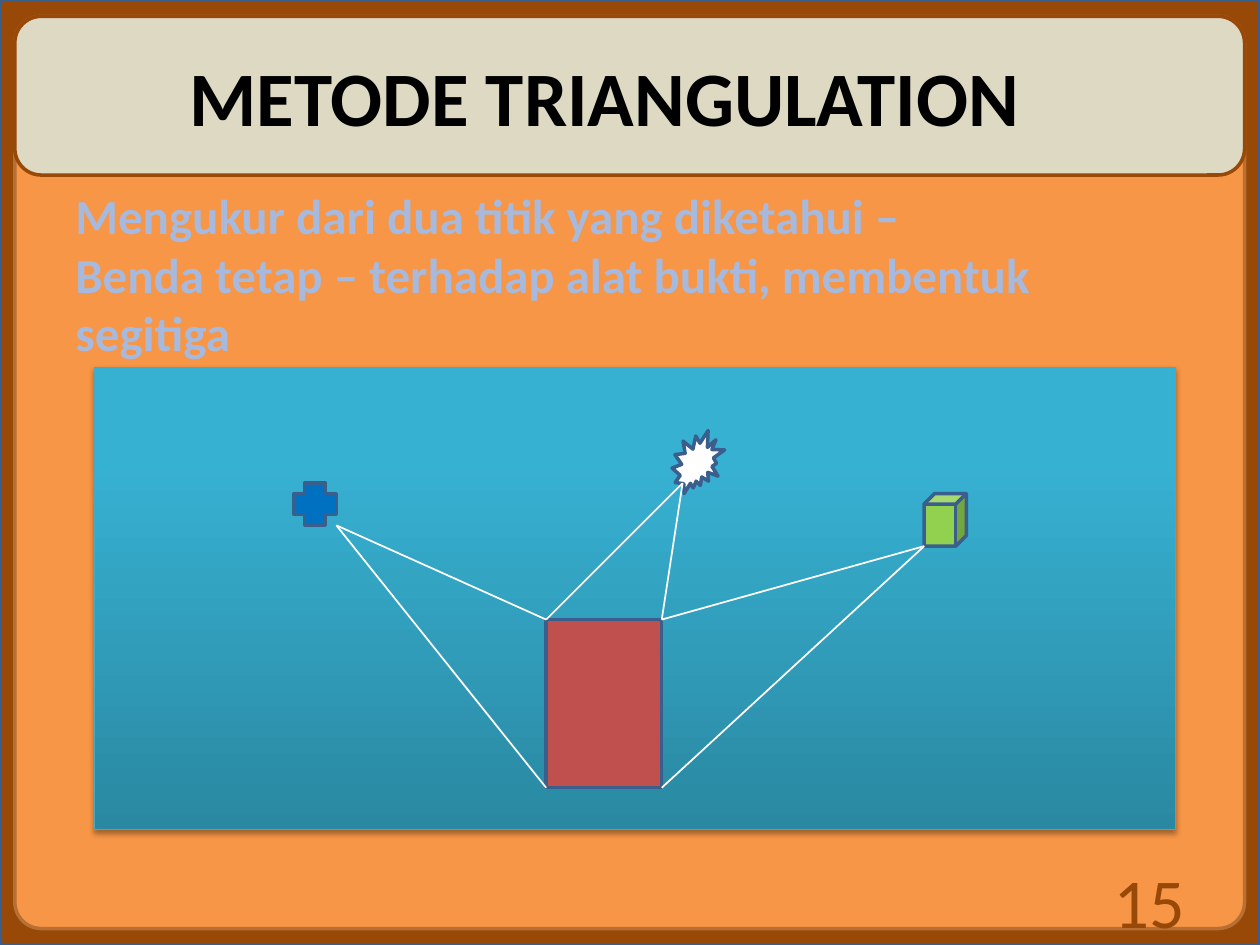
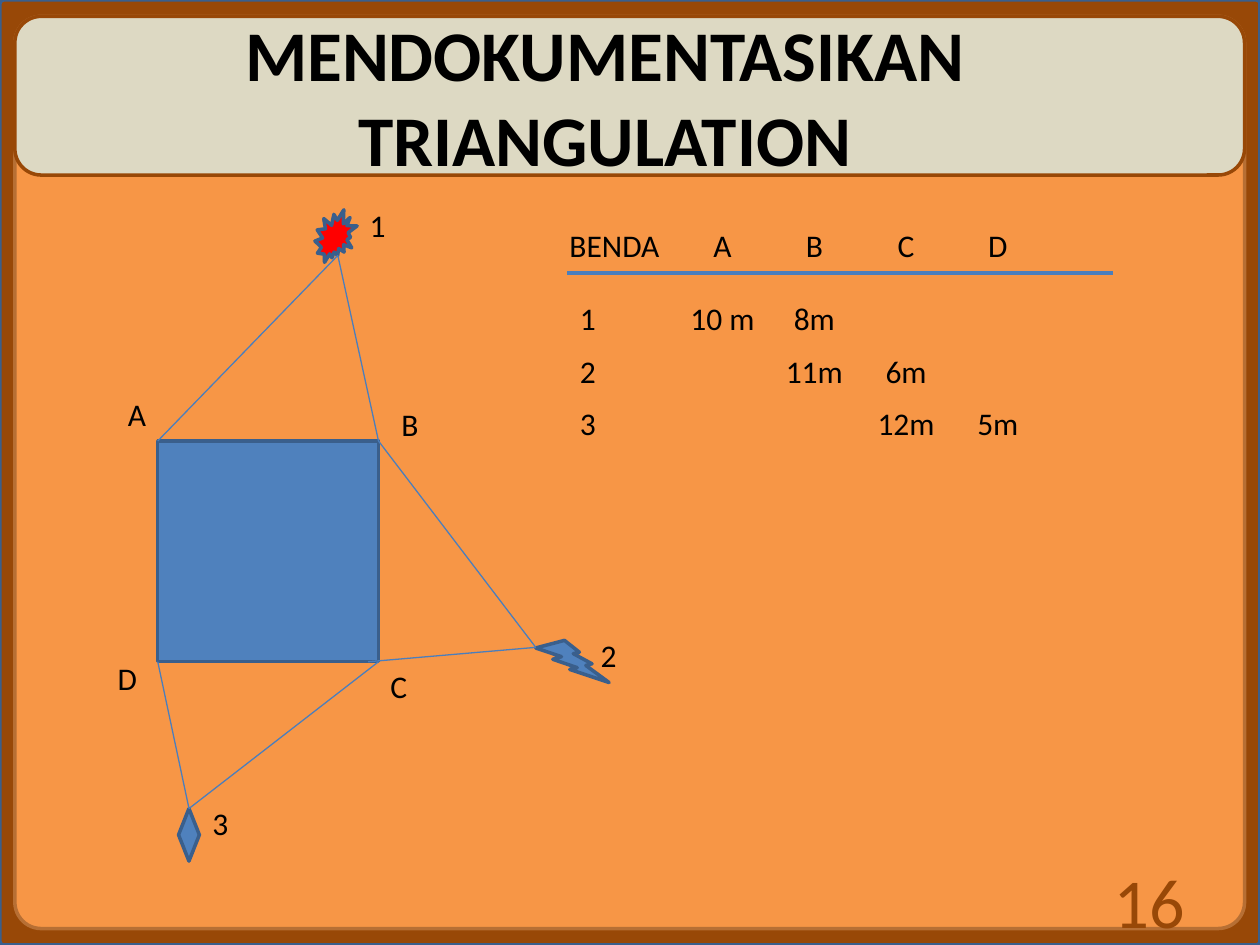
from lxml.etree import SubElement
from pptx import Presentation
from pptx.dml.color import RGBColor
from pptx.enum.shapes import MSO_CONNECTOR, MSO_SHAPE as SHAPE
from pptx.enum.text import MSO_ANCHOR as ANCHOR, PP_ALIGN as ALIGN
from pptx.oxml.ns import qn
from pptx.util import Cm, Pt

FONT = "Calibri"
NO_GRID_STYLE = "{2D5ABB26-0587-4C30-8999-92F81FD0307C}"
COLORS = {
    "brown": "984807",
    "orange": "F79646",
    "panel_edge": "B76F34",
    "cream": "DDD9C3",
    "navy": "3A5F8C",
    "blue": "4F81BD",
    "line_blue": "4B7EBC",
    "pale_blue": "A7B9DC",
    "board_low": "2A88A2",
    "board_high": "37B1D2",
    "board_edge": "46AAC5",
    "brick": "C0504D",
    "lime": "92D050",
    "plus_blue": "0070C0",
    "red": "FF0000",
    "white": "FFFFFF",
    "black": "000000",
}


def rgb(name):
    return RGBColor.from_string(COLORS[name])


def add_shape(slide, kind, box, fill, line="navy", width=2, adj=None):
    sp = slide.shapes.add_shape(kind, *map(Cm, box))
    sp.shadow.inherit = False
    sp.fill.solid()
    sp.fill.fore_color.rgb = rgb(fill)
    sp.line.color.rgb = rgb(line)
    sp.line.width = Pt(width)
    if adj is not None:
        sp.adjustments[0] = adj
    return sp


def add_line(slide, start, end, color, width):
    line = slide.shapes.add_connector(MSO_CONNECTOR.STRAIGHT, *map(Cm, start + end))
    line.line.color.rgb = rgb(color)
    line.line.width = Pt(width)
    SubElement(line._element.spPr, qn("a:effectLst"))


def style(p, size, color="black", bold=False, align=ALIGN.LEFT):
    p.alignment = align
    p.font.name = FONT
    p.font.size = Pt(size)
    p.font.bold = bold
    p.font.color.rgb = rgb(color)


def add_text(slide, box, lines, size, anchor=ANCHOR.TOP, **look):
    tf = slide.shapes.add_textbox(*map(Cm, box)).text_frame
    tf.word_wrap = True
    tf.vertical_anchor = anchor
    tf.text = "\n".join(lines)
    for p in tf.paragraphs:
        style(p, size, **look)


def add_frame(prs, title, title_size, number):
    slide = prs.slides.add_slide(prs.slide_layouts[6])
    rounded = SHAPE.ROUNDED_RECTANGLE
    add_shape(slide, rounded, (0, 0, 25.4, 19.05), "brown", adj=0.004)
    add_shape(slide, rounded, (0.3, 0.33, 24.79, 18.39), "orange", "panel_edge", adj=0.029)
    add_shape(slide, rounded, (0.3, 0.33, 24.79, 3.2), "cream", "brown")
    add_text(slide, (2.49, 0.33, 19.41, 3.2), [title], title_size,
             ANCHOR.MIDDLE, bold=True, align=ALIGN.CENTER)
    add_text(slide, (18.21, 17.65, 5.92, 1.02), [str(number)], 40,
             ANCHOR.MIDDLE, color="brown", align=ALIGN.RIGHT)
    return slide


def add_board(slide, box):
    sp = add_shape(slide, SHAPE.RECTANGLE, box, "board_high", "board_edge", 0.75)
    sp.fill.gradient()
    sp.fill.gradient_angle = 90
    stops = ((0, "board_low"), (0.8, "board_high"))
    for stop, (position, color) in zip(sp.fill.gradient_stops, stops):
        stop.position = position
        stop.color.rgb = rgb(color)
    effects = sp._element.spPr.find(qn("a:effectLst"))
    shadow = SubElement(effects, qn("a:outerShdw"), blurRad=str(Pt(3.1)),
                        dist=str(Pt(1.8)), dir="5400000", rotWithShape="0")
    black = SubElement(shadow, qn("a:srgbClr"), val=COLORS["black"])
    SubElement(black, qn("a:alpha"), val="35000")


def add_sketch(slide, origin, objects, sights, line_color, line_width):
    x0, y0 = origin
    for kind, (x, y, w, h), fill in objects:
        add_shape(slide, kind, (x0 + x, y0 + y, w, h), fill)
    for (x, y), corners in sights:
        for cx, cy in corners:
            add_line(slide, (x0 + cx, y0 + cy), (x0 + x, y0 + y), line_color, line_width)


def add_method_sketch(slide, box):
    add_board(slide, box)
    left, top, w, h = 9.1, 5.08, 2.33, 3.39
    top_left, top_right = (left, top), (left + w, top)
    low_left, low_right = (left, top + h), (left + w, top + h)
    objects = [
        (SHAPE.RECTANGLE, (left, top, w, h), "brick"),
        (SHAPE.EXPLOSION2, (11.64, 1.27, 1.06, 1.27), "white"),
        (SHAPE.CUBE, (16.72, 2.54, 0.85, 1.06), "lime"),
        (SHAPE.CROSS, (4.02, 2.33, 0.85, 0.85), "plus_blue"),
    ]
    sights = [
        ((16.72, 3.6), (top_right, low_right)),
        ((11.85, 2.33), (top_left, top_right)),
        ((4.87, 3.18), (top_left, low_left)),
    ]
    add_sketch(slide, box[:2], objects, sights, "white", 1)


def add_measured_sketch(slide, origin):
    left, top, side = 1.06, 4.87, 4.45
    a, b = (left, top), (left + side, top)
    d, c = (left, top + side), (left + side, top + side)
    objects = [
        (SHAPE.RECTANGLE, (left, top, side, side), "blue"),
        (SHAPE.EXPLOSION2, (4.23, 0.21, 0.85, 1.06), "red"),
        (SHAPE.FLOWCHART_DECISION, (1.48, 12.28, 0.42, 1.06), "blue"),
        (SHAPE.LIGHTNING_BOLT, (8.68, 8.89, 1.48, 0.85), "blue"),
    ]
    sights = [
        ((4.69, 1.13), (b, a)),
        ((1.69, 12.28), (c, d)),
        ((8.68, 9.03), (b, (c[0] - 0.21, c[1]))),
    ]
    add_sketch(slide, origin, objects, sights, "line_blue", 0.75)
    labels = {
        "A": (0.21, 3.81), "B": (5.72, 4.02), "C": (5.5, 9.31), "D": (0, 9.14),
        "1": (5.08, 0), "2": (9.74, 8.68), "3": (1.91, 12.07),
    }
    for label, (x, y) in labels.items():
        add_text(slide, (origin[0] + x, origin[1] + y, 0.97, 1.02), [label], 18)


def add_distances(slide, origin):
    rows = [
        ("BENDA", "A", "B", "C", "D"),
        ("1", "10 m", "8m", "", ""),
        ("2", "", "11m", "6m", ""),
        ("3", "", "", "12m", "5m"),
    ]
    widths = [2.41] + [1.85] * 4
    heights = [1.48] + [1.06] * 3
    x, y = origin
    frame = slide.shapes.add_table(len(rows), len(widths), Cm(x), Cm(y),
                                   Cm(sum(widths)), Cm(sum(heights)))
    table = frame.table
    table.first_row = table.horz_banding = False
    next(frame._element.iter(qn("a:tableStyleId"))).text = NO_GRID_STYLE
    for column, width in zip(table.columns, widths):
        column.width = Cm(width)
    for i, (row, height) in enumerate(zip(rows, heights)):
        table.rows[i].height = Cm(height)
        for j, value in enumerate(row):
            cell = table.cell(i, j)
            cell.fill.background()
            cell.margin_left = cell.margin_right = 0
            cell.text = value
            style(cell.text_frame.paragraphs[0], 18,
                  align=ALIGN.CENTER if j else ALIGN.LEFT)
        table.cell(i, 0).margin_left = Cm(0.46 if i else 0.25)
    add_line(slide, (x + 0.2, y + 1.06), (x + 11.2, y + 1.06), "line_blue", 2.25)


def build_method(prs):
    slide = add_frame(prs, "METODE TRIANGULATION", 44, 15)
    add_text(slide, (1.27, 3.61, 20.5, 3.84), [
        "Mengukur dari dua titik yang diketahui –",
        "Benda tetap – terhadap alat bukti, membentuk",
        "segitiga",
    ], 28, color="pale_blue", bold=True)
    add_method_sketch(slide, (1.91, 7.41, 21.79, 9.32))


def build_documentation(prs):
    slide = add_frame(prs, "MENDOKUMENTASIKAN TRIANGULATION", 40.7, 16)
    add_measured_sketch(slide, (2.12, 4.02))
    add_distances(slide, (11.23, 4.45))


def main():
    prs = Presentation()
    prs.slide_width, prs.slide_height = Cm(25.4), Cm(19.05)
    build_method(prs)
    build_documentation(prs)
    prs.save("out.pptx")


if __name__ == "__main__":
    main()
